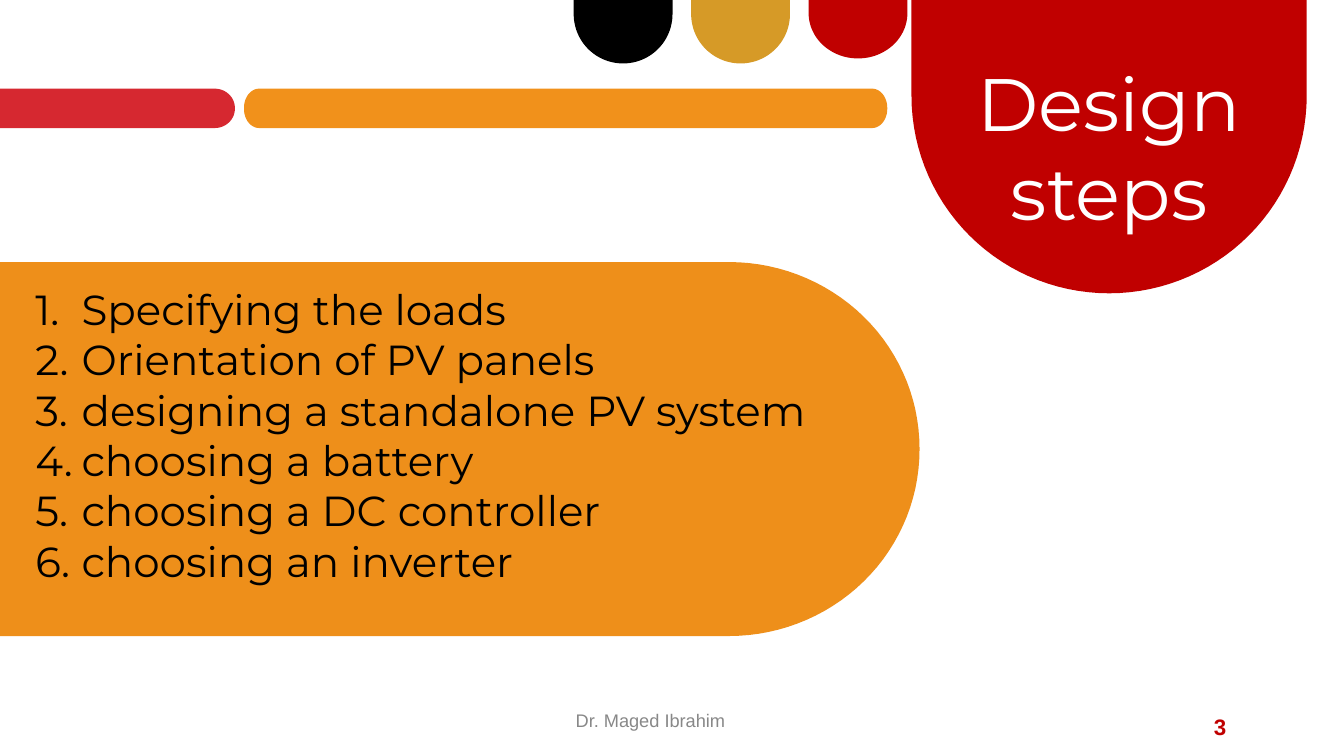
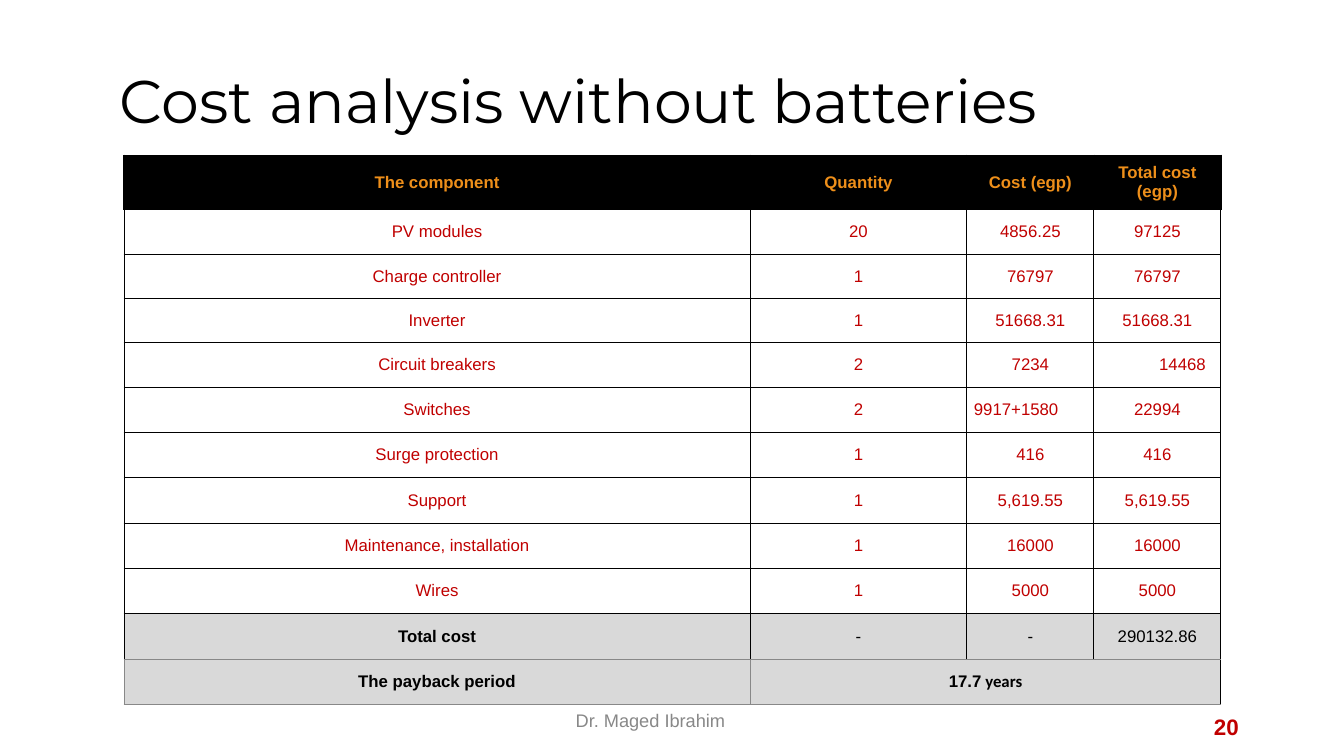
import math

import lxml.etree
import pptx
import pptx.dml.color
import pptx.enum.text
import pptx.oxml.ns
import pptx.util

Inches = pptx.util.Inches
Pt = pptx.util.Pt
RGBColor = pptx.dml.color.RGBColor
ALIGN = pptx.enum.text.PP_ALIGN
ANCHOR = pptx.enum.text.MSO_ANCHOR
qn = pptx.oxml.ns.qn

BLACK = RGBColor(0x00, 0x00, 0x00)
WHITE = RGBColor(0xFF, 0xFF, 0xFF)
RED = RGBColor(0xC0, 0x00, 0x00)
BRIGHT_RED = RGBColor(0xD6, 0x28, 0x30)
ORANGE = RGBColor(0xEE, 0x8F, 0x1A)
BRIGHT_ORANGE = RGBColor(0xF1, 0x91, 0x1B)
GOLD = RGBColor(0xD6, 0x9A, 0x27)
GREY = RGBColor(0x88, 0x88, 0x88)
LIGHT_GREY = RGBColor(0xD9, 0xD9, 0xD9)

LIST_FONT = {"name": "Montserrat", "size": Pt(30)}
TITLE_FONT = {"name": "Montserrat", "size": Pt(43)}
TONGUE_FONT = {"name": "Montserrat", "size": Pt(53)}
FOOTER_FONT = {"name": "Arial", "size": Pt(13)}
NUMBER_FONT = {"name": "Arial", "size": Pt(16), "bold": True}
CELL_FONT = {"name": "Arial", "size": Pt(12)}


def write_text(text_frame, lines, font, color, margins=(0, 0, 0, 0), **layout):
    text_frame.word_wrap = True
    for side, margin in zip(("left", "top", "right", "bottom"), margins):
        setattr(text_frame, f"margin_{side}", Inches(margin))
    for index, line in enumerate(lines):
        paragraph = text_frame.add_paragraph() if index else text_frame.paragraphs[0]
        run = paragraph.add_run()
        run.text = line
        for name, value in layout.items():
            setattr(paragraph, name, value)
        for name, value in font.items():
            setattr(run.font, name, value)
        run.font.color.rgb = color


def add_rounded(slide, box, radius, corners, color):
    left, top, width, height = box
    points = []
    for corner, at_right, at_bottom, start in (
        ("top left", 0, 0, 180), ("top right", 1, 0, 270),
        ("bottom right", 1, 1, 0), ("bottom left", 0, 1, 90),
    ):
        radius_x, radius_y = radius if corner in corners else (0, 0)
        center_x = left + at_right * width + radius_x * (1 - 2 * at_right)
        center_y = top + at_bottom * height + radius_y * (1 - 2 * at_bottom)
        for angle in range(start, start + 91, 3 if corner in corners else 91):
            turn = math.radians(angle)
            points.append((Inches(center_x + radius_x * math.cos(turn)),
                           Inches(center_y + radius_y * math.sin(turn))))
    builder = slide.shapes.build_freeform(*points[0])
    builder.add_line_segments(points[1:], close=True)
    shape = builder.convert_to_shape()
    shape.shadow.inherit = False
    shape.fill.solid()
    shape.fill.fore_color.rgb = color
    shape.line.fill.background()
    return shape


presentation = pptx.Presentation()
presentation.slide_width = Inches(13.33)
presentation.slide_height = Inches(7.5)
blank_layout = presentation.slide_layouts[6]

RIGHT = ("top right", "bottom right")
BOTTOM = ("bottom left", "bottom right")

steps_slide = presentation.slides.add_slide(blank_layout)
add_rounded(steps_slide, (2.42, 0.88, 6.38, 0.39), (0.15, 0.19),
            ("top left", "bottom left") + RIGHT, BRIGHT_ORANGE)
add_rounded(steps_slide, (0, 0.88, 2.33, 0.39), (0.2, 0.19), RIGHT, BRIGHT_RED)
add_rounded(steps_slide, (0, 2.6, 9.12, 3.71), (1.89, 1.85), RIGHT, ORANGE)

for index, (color, height, radius_y) in enumerate(
    [(BLACK, 0.63, 0.49), (GOLD, 0.63, 0.49), (RED, 0.58, 0.45)]
):
    add_rounded(steps_slide, (5.69 + index * 1.165, 0, 0.98, height),
                (0.49, radius_y), BOTTOM, color)

title_tongue = add_rounded(steps_slide, (9.04, 0, 3.92, 2.91), (1.96, 1.96), BOTTOM, RED)
title_tongue.text_frame.vertical_anchor = ANCHOR.MIDDLE
write_text(title_tongue.text_frame, ["Design steps"], TONGUE_FONT, WHITE,
           alignment=ALIGN.CENTER)

steps_box = steps_slide.shapes.add_textbox(Inches(0.31), Inches(2.79), Inches(8.49), Inches(3.05))
write_text(steps_box.text_frame, [
    "Specifying the loads",
    "Orientation of PV panels",
    "designing a standalone PV system",
    "choosing a battery",
    "choosing a DC controller",
    "choosing an inverter",
], LIST_FONT, BLACK, (0, 0.02, 0, 0))
for paragraph in steps_box.text_frame.paragraphs:
    properties = paragraph._p.get_or_add_pPr()
    properties.set("marL", str(Inches(0.5)))
    properties.set("indent", str(Inches(-0.46)))
    bullet_color = lxml.etree.SubElement(properties, qn("a:buClr"))
    lxml.etree.SubElement(bullet_color, qn("a:srgbClr"), val=str(BLACK))
    lxml.etree.SubElement(properties, qn("a:buAutoNum"), type="arabicPeriod")

cost_slide = presentation.slides.add_slide(blank_layout)
title_box = cost_slide.shapes.add_textbox(Inches(0.88), Inches(0.25), Inches(11.58), Inches(1.11))
write_text(title_box.text_frame, ["Cost analysis without batteries"], TITLE_FONT, BLACK,
           (0.31, 0.38, 0, 0))

cost_rows = [
    ("The component", "Quantity", "Cost (egp)", "Total cost (egp)"),
    ("PV modules", "20", "4856.25", "97125"),
    ("Charge controller", "1", "76797", "76797"),
    ("Inverter", "1", "51668.31", "51668.31"),
    ("Circuit breakers", "2", "7234", "14468"),
    ("Switches", "2", "9917+1580", "22994"),
    ("Surge protection", "1", "416", "416"),
    ("Support", "1", "5,619.55", "5,619.55"),
    ("Maintenance, installation", "1", "16000", "16000"),
    ("Wires", "1", "5000", "5000"),
    ("Total cost", "-", "-", "290132.86"),
    ("The payback period", "17.7", "", ""),
]
column_widths = [6.21, 2.15, 1.26, 1.26]
row_heights = [0.52] + [0.44] * 4 + [0.45] * 7
total_row, payback_row = 10, 11

table = cost_slide.shapes.add_table(
    len(cost_rows), len(column_widths), Inches(1.23), Inches(1.54),
    Inches(sum(column_widths)), Inches(sum(row_heights))).table
table.first_row = False
table.horz_banding = False
for column, width in zip(table.columns, column_widths):
    column.width = Inches(width)
for row, height in zip(table.rows, row_heights):
    row.height = Inches(height)

for row_index, texts in enumerate(cost_rows):
    is_header = row_index == 0
    is_summary = row_index >= total_row
    text_color = ORANGE if is_header else BLACK if is_summary else RED
    for column_index, text in enumerate(texts):
        cell = table.cell(row_index, column_index)
        cell.vertical_anchor = ANCHOR.MIDDLE
        is_bold = is_header or row_index == payback_row or (is_summary and column_index == 0)
        if text:
            write_text(cell.text_frame, [text], {**CELL_FONT, "bold": is_bold}, text_color,
                       alignment=ALIGN.CENTER)
        for side in ("left", "top", "right", "bottom"):
            setattr(cell, f"margin_{side}", Inches(0.07))

        borders = dict.fromkeys(("lnL", "lnR", "lnT", "lnB"), BLACK)
        if row_index == total_row:
            borders["lnB"] = GREY
        if row_index == payback_row:
            borders = dict.fromkeys(borders, GREY)
            if column_index:
                borders["lnR"] = BLACK
        for side, border_color in borders.items():
            weight = Pt(1) if is_header and side != "lnB" else Pt(0.75)
            line = lxml.etree.SubElement(cell._tc.get_or_add_tcPr(), qn(f"a:{side}"),
                                         w=str(weight))
            line_fill = lxml.etree.SubElement(line, qn("a:solidFill"))
            lxml.etree.SubElement(line_fill, qn("a:srgbClr"), val=str(border_color))

        if is_header or is_summary:
            cell.fill.solid()
            cell.fill.fore_color.rgb = BLACK if is_header else LIGHT_GREY
        else:
            cell.fill.background()

breakers_total = table.cell(4, 3)
breakers_total.margin_right = Inches(0.15)
breakers_total.text_frame.paragraphs[0].alignment = ALIGN.RIGHT
table.cell(5, 2).text_frame.paragraphs[0].alignment = ALIGN.LEFT

payback_cell = table.cell(payback_row, 1)
payback_cell.merge(table.cell(payback_row, 3))
years_run = payback_cell.text_frame.paragraphs[0].add_run()
years_run.text = " years"
for name, value in {**CELL_FONT, "name": "Calibri", "bold": True}.items():
    setattr(years_run.font, name, value)
years_run.font.color.rgb = BLACK

for slide, number in ((steps_slide, "3"), (cost_slide, "20")):
    number_box = slide.shapes.add_textbox(Inches(11.98), Inches(7.02), Inches(0.38), Inches(0.28))
    write_text(number_box.text_frame, [number], NUMBER_FONT, RED, (0.06, 0, 0, 0),
               line_spacing=1.19)
    footer_box = slide.shapes.add_textbox(Inches(5.7), Inches(7.04), Inches(1.93), Inches(0.22))
    write_text(footer_box.text_frame, ["Dr. Maged Ibrahim"], FOOTER_FONT, GREY, (0.01, 0, 0, 0))

presentation.save("out.pptx")
